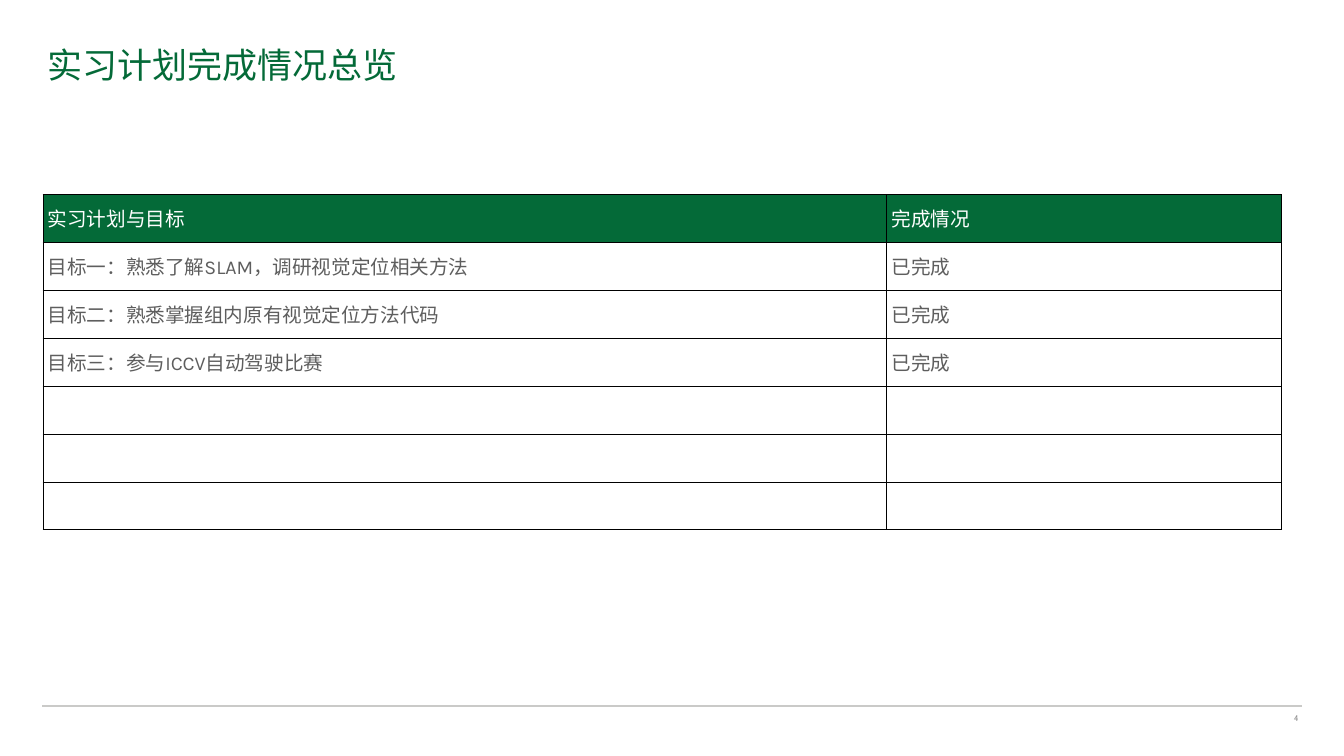
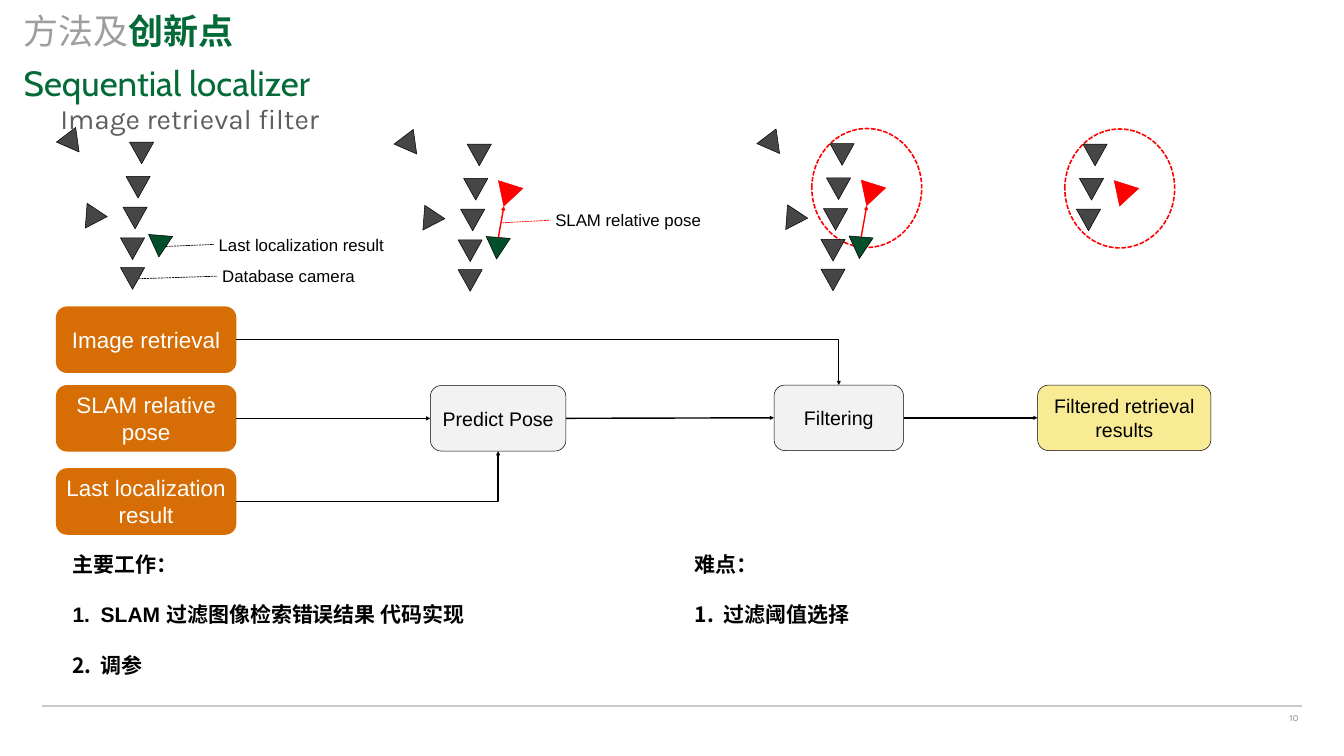
from dataclasses import dataclass

from lxml import etree
from pptx import Presentation
from pptx import util as u
from pptx.dml.color import RGBColor
from pptx.enum import dml, shapes, text
from pptx.oxml import ns

PX = 9144  # EMU per px, 100 px to the inch


@dataclass(frozen=True)
class Theme:
    green: str = "046A38"
    dark_green: str = "034F29"
    orange: str = "D66D05"
    yellow: str = "F8EB94"
    pale: str = "F2F2F2"
    white: str = "FFFFFF"
    black: str = "000000"
    red: str = "FF0000"
    camera: str = "464646"
    body: str = "5E5E5E"
    muted: str = "9E9E9E"
    rule: str = "CACAC8"
    page: str = "929292"
    title_font: str = "Cabin"
    body_font: str = "Karla"
    plain_font: str = "Arial"
    title: int = 50
    subtitle: int = 40
    source: int = 32
    notes: int = 30
    step: int = 28
    label: int = 24
    number: int = 12


T = Theme()
MIDDLE = text.MSO_ANCHOR.MIDDLE
TOP_SIDE, LEFT_SIDE, BOTTOM_SIDE, RIGHT_SIDE = range(4)


def px(*lengths):
    return [u.Emu(n * PX) for n in lengths]


def rgb(color):
    return RGBColor.from_string(color)


def child(parent, tag, **attrs):
    return etree.SubElement(parent, ns.qn(tag), attrs)


def set_font(font, name, size, color, bold=False):
    font.name, font.size, font.bold = name, u.Pt(size), bold
    font.color.rgb = rgb(color)


def set_line(line, color, width, dashed=False):
    line.color.rgb = rgb(color)
    line.width = u.Pt(width)
    if dashed:
        line.dash_style = dml.MSO_LINE.SQUARE_DOT


# Text
def add_box(s, box, anchor=text.MSO_ANCHOR.TOP, inset=None):
    tf = s.shapes.add_textbox(*px(*box)).text_frame
    tf.word_wrap = True
    tf.vertical_anchor = anchor
    if inset:
        tf.margin_left, tf.margin_top, tf.margin_right, tf.margin_bottom = px(*[inset] * 4)
    return tf


def add_text(s, box, words, font, size, color, anchor=text.MSO_ANCHOR.TOP, inset=None):
    p = add_box(s, box, anchor, inset).paragraphs[0]
    p.text = words
    set_font(p.font, font, size, color)
    return p


def add_title(s, left, top, *parts):
    p = add_box(s, (left, top, 2498, 117), MIDDLE).paragraphs[0]
    for words, color, bold in parts:
        r = p.add_run()
        r.text = words
        set_font(r.font, T.title_font, T.title, color, bold)


def add_numbered_notes(s, box, heading, items):
    tf = add_box(s, box, MIDDLE, 6)
    for i, words in enumerate([heading, *items]):
        p = tf.paragraphs[0] if i == 0 else tf.add_paragraph()
        p.text = words
        p.line_spacing = u.Pt(36)
        if i:
            p.space_before = u.Pt(36)
            pPr = p._p.get_or_add_pPr()
            indent = px(56)[0]
            pPr.set("marL", str(indent))
            pPr.set("indent", str(-indent))
            child(pPr, "a:buFont", typeface="+mj-lt")
            child(pPr, "a:buAutoNum", type="arabicPeriod")
        set_font(p.font, T.plain_font, T.notes, T.black, True)


# Shapes and lines
def add_shape(s, kind, box, fill=None, line=None, width=0.75, dashed=False, turn=0):
    sp = s.shapes.add_shape(kind, *px(*box))
    sp.shadow.inherit = False
    sp.rotation = turn
    if fill:
        sp.fill.solid()
        sp.fill.fore_color.rgb = rgb(fill)
    else:
        sp.fill.background()
    if line:
        set_line(sp.line, line, width, dashed)
    else:
        sp.line.fill.background()
    return sp


def add_step(s, box, words, fill, size=T.step, color=T.black, line=T.black):
    sp = add_shape(s, shapes.MSO_SHAPE.ROUNDED_RECTANGLE, box, fill, line)
    tf = sp.text_frame
    tf.word_wrap = True
    tf.vertical_anchor = MIDDLE
    p = tf.paragraphs[0]
    p.text = words
    p.alignment = text.PP_ALIGN.CENTER
    set_font(p.font, T.plain_font, size, color)
    return sp


def add_line(s, ends, color, width=2, dashed=False, arrow=False, kind=shapes.MSO_CONNECTOR.STRAIGHT):
    c = s.shapes.add_connector(kind, *px(*ends))
    set_line(c.line, color, width, dashed)
    if arrow:
        child(c.line._get_or_add_ln(), "a:tailEnd", type="triangle")
    child(c._element.spPr, "a:effectLst")
    return c


def join(s, start, end, end_side=LEFT_SIDE):
    bent = end_side != LEFT_SIDE
    kind = shapes.MSO_CONNECTOR.ELBOW if bent else shapes.MSO_CONNECTOR.STRAIGHT
    c = add_line(s, (0, 0, 0, 0), T.black, arrow=True, kind=kind)
    c.begin_connect(start, RIGHT_SIDE)
    c.end_connect(end, end_side)
    if bent:  # a single corner
        c._element.spPr.find(ns.qn("a:prstGeom")).set("prst", "bentConnector2")


# Camera poses: offset from the scene's corner, and rotation
ASIDE = [(0, 0, 142.8), (37, 150, 213.5)]
NEAR = [(130, 87, 180), (137, 19, 180), (124, 148, 180)]
BEHIND = [(119, 268, 180), (119, 209, 180)]


def add_camera(s, x, y, turn, fill=T.camera, line=T.black, size=(48, 43)):
    add_shape(s, shapes.MSO_SHAPE.ISOSCELES_TRIANGLE, (x, y, *size), fill, line, turn=turn)


def add_scene(s, x, y, cameras, last=False, predicted=False, radius=False):
    if radius:
        add_shape(s, shapes.MSO_SHAPE.OVAL, (x + 101, y - 11, 218, 236), None, T.red, 2.25, True)
    for dx, dy, turn in cameras:
        add_camera(s, x + dx, y + dy, turn)
    if last:
        add_camera(s, x + 173, y + 204, 184.6, T.dark_green)
    if predicted:
        add_camera(s, x + 191, y + 98, 197.6, T.red, T.red, (51, 45))
    if last and predicted:
        add_line(s, (x + 199, y + 204, x + 210, y + 142), T.red, arrow=True)


def add_callout(s, box, words, start, color=T.black):
    left, top, _, height = box
    add_text(s, box, words, T.plain_font, T.label, T.black)
    add_line(s, (*start, left, top + height // 2), color, 1, dashed=True)


# Table
def add_border(cell):
    tcPr = cell._tc.get_or_add_tcPr()
    for i, side in enumerate(("a:lnL", "a:lnR", "a:lnT", "a:lnB")):
        ln = etree.Element(ns.qn(side), w=str(u.Pt(1)))
        child(child(ln, "a:solidFill"), "a:srgbClr", val=T.black)
        tcPr.insert(i, ln)


def add_plan_table(s, left, top, widths, row_height, rows):
    box = px(left, top, sum(widths), row_height * len(rows))
    table = s.shapes.add_table(len(rows), len(widths), *box).table
    table.first_row = table.horz_banding = False
    for column, width in zip(table.columns, widths):
        column.width = px(width)[0]
    for i, row in enumerate(rows):
        table.rows[i].height = px(row_height)[0]
        for j, words in enumerate(row):
            cell = table.cell(i, j)
            cell.vertical_anchor = MIDDLE
            if i == 0:
                cell.fill.solid()
                cell.fill.fore_color.rgb = rgb(T.green)
            else:
                cell.fill.background()
            add_border(cell)
            if words:
                p = cell.text_frame.paragraphs[0]
                p.text = words
                set_font(p.font, T.body_font, T.step, T.body if i else T.white)


# Slides
def new_slide(prs, number):
    s = prs.slides.add_slide(prs.slide_layouts[6])
    add_line(s, (84, 1401, 2583, 1401), T.rule)
    p = add_text(s, (2284, 1408, 299, 31), str(number), T.title_font, T.number, T.page, inset=6)
    p.alignment = text.PP_ALIGN.RIGHT
    return s


def build_plan(prs):
    s = new_slide(prs, 4)
    done = "已完成"
    add_plan_table(s, 85, 386, (1674, 784), 95, [
        ("实习计划与目标", "完成情况"),
        ("目标一：熟悉了解SLAM，调研视觉定位相关方法", done),
        ("目标二：熟悉掌握组内原有视觉定位方法代码", done),
        ("目标三：参与ICCV自动驾驶比赛", done),
        *[("", "")] * 3,
    ])
    add_title(s, 85, 69, ("实习计划完成情况总览", T.green, False))


def build_method(prs):
    s = new_slide(prs, 10)
    add_title(s, 37, 2, ("方法及", T.muted, False), ("创新点", T.green, True))

    # Flow chart
    retrieval, slam, last = [
        add_step(s, (111, top, 358, 132), words, T.orange, T.source, T.white, None)
        for top, words in ((608, "Image retrieval"), (764, "SLAM relative pose"),
                           (929, "Last localization result"))]
    predict = add_step(s, (854, 765, 269, 130), "Predict Pose", T.pale)
    filtering = add_step(s, (1536, 764, 257, 130), "Filtering", T.pale)
    result = add_step(s, (2059, 764, 344, 130), "Filtered retrieval results", T.yellow)
    join(s, slam, predict)
    join(s, predict, filtering)
    join(s, filtering, result)
    join(s, last, predict, BOTTOM_SIDE)
    join(s, retrieval, filtering, TOP_SIDE)

    # Camera scenes, one per stage
    everywhere = ASIDE + NEAR + BEHIND
    add_scene(s, 120, 263, everywhere, last=True)
    add_scene(s, 790, 267, everywhere, last=True, predicted=True)
    add_scene(s, 1510, 266, everywhere, last=True, predicted=True, radius=True)
    add_scene(s, 2012, 267, NEAR, predicted=True, radius=True)
    add_callout(s, (431, 523, 286, 50), "Database camera", (275, 553))
    add_callout(s, (424, 460, 361, 50), "Last localization result", (329, 489))
    add_callout(s, (1092, 412, 318, 50), "SLAM relative pose", (997, 442), T.red)

    # Headings and notes
    p = add_text(s, (110, 163, 2400, 115), "Image retrieval filter", T.body_font, T.subtitle, T.body)
    p.line_spacing = 1.5
    add_text(s, (37, 98, 2400, 132), "Sequential localizer", T.title_font, T.title, T.green, MIDDLE)
    add_numbered_notes(s, (138, 1087, 900, 264), "主要工作：",
                       ["SLAM 过滤图像检索错误结果 代码实现", "调参"])
    add_numbered_notes(s, (1373, 1087, 456, 163), "难点：", ["过滤阈值选择"])


def main():
    prs = Presentation()
    prs.slide_width, prs.slide_height = px(2667, 1500)
    build_plan(prs)
    build_method(prs)
    prs.save("out.pptx")


if __name__ == "__main__":
    main()
